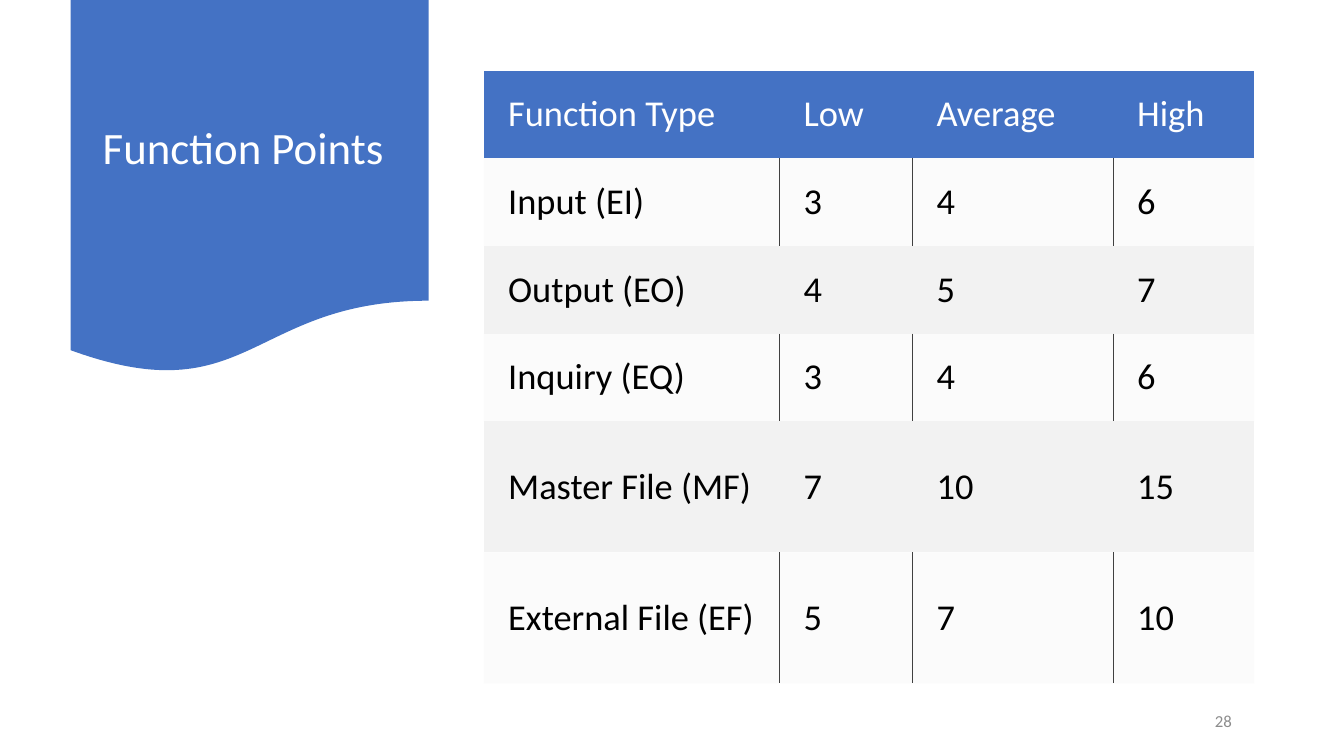
from dataclasses import dataclass

from lxml.etree import SubElement
from pptx import Presentation
from pptx.dml.color import RGBColor as Color
from pptx.enum.shapes import MSO_SHAPE as Preset
from pptx.enum.text import MSO_ANCHOR as Anchor, PP_ALIGN as Align
from pptx.oxml.ns import qn
from pptx.util import Emu, Pt

EMU_PER_PX = 9144


@dataclass(frozen=True)
class Theme:
    font: str = "Calibri"
    accent: str = "4472C4"
    band: str = "F2F2F2"
    rule: str = "404040"
    dark: str = "000000"
    light: str = "FFFFFF"
    muted: str = "8C8C8C"
    title_size: int = 32
    table_size: int = 26
    number_size: int = 12
    rule_width: float = 0.5
    pale_opacity: int = 30


THEME = Theme()
COLUMN_WIDTHS = (293, 132, 199, 140)
ROW_HEIGHTS = (87, 87, 87, 87, 130, 130)
ROWS = (
    ("Function Type", "Low", "Average", "High"),
    ("Input (EI)", "3", "4", "6"),
    ("Output (EO)", "4", "5", "7"),
    ("Inquiry (EQ)", "3", "4", "6"),
    ("Master File (MF)", "7", "10", "15"),
    ("External File (EF)", "5", "7", "10"),
)


def px(length):
    return Emu(length * EMU_PER_PX)


def write_text(frame, text, *, size, color, line_spacing=None):
    para = frame.paragraphs[0]
    para.alignment = Align.LEFT
    para.line_spacing = line_spacing
    span = para.add_run()
    span.text = text
    font = span.font
    font.name = THEME.font
    font.size = Pt(size)
    font.bold = False
    font.color.rgb = Color.from_string(color)


def add_text(page, text, left, top, width, height, **text_format):
    box = page.shapes.add_textbox(px(left), px(top), px(width), px(height))
    frame = box.text_frame
    frame.word_wrap = True
    frame.vertical_anchor = Anchor.MIDDLE
    write_text(frame, text, **text_format)


def add_banner(page, left, top, width, height):
    banner = page.shapes.add_shape(
        Preset.FLOWCHART_DOCUMENT, px(left), px(top), px(width), px(height)
    )
    banner.shadow.inherit = False
    banner.fill.solid()
    banner.fill.fore_color.rgb = Color.from_string(THEME.accent)
    banner.line.fill.background()


def set_borders(cell, ruled_sides):
    properties = cell._tc.get_or_add_tcPr()
    for side in "LRTB":
        line = SubElement(properties, qn(f"a:ln{side}"))
        if side in ruled_sides:
            line.set("w", str(Pt(THEME.rule_width)))
            fill = SubElement(line, qn("a:solidFill"))
            SubElement(fill, qn("a:srgbClr"), val=THEME.rule)
        else:
            line.set("w", "0")
            SubElement(line, qn("a:noFill"))


def fill_cell(cell, color, opacity=100):
    cell.fill.solid()
    cell.fill.fore_color.rgb = Color.from_string(color)
    if opacity < 100:
        shade = cell._tc.tcPr.find(qn("a:solidFill")).find(qn("a:srgbClr"))
        SubElement(shade, qn("a:alpha"), val=str(opacity * 1000))


def format_cell(cell, text, row, column):
    header = row == 0
    pale = row % 2 == 1
    cell.margin_left = px(24)
    cell.margin_right = cell.margin_top = cell.margin_bottom = px(18)
    cell.vertical_anchor = Anchor.MIDDLE
    ruled_sides = ""
    if pale and column > 0:
        ruled_sides += "L"
    if pale and column < len(COLUMN_WIDTHS) - 1:
        ruled_sides += "R"
    set_borders(cell, ruled_sides)
    fill_cell(
        cell,
        THEME.accent if header else THEME.band,
        THEME.pale_opacity if pale else 100,
    )
    write_text(
        cell.text_frame,
        text,
        size=THEME.table_size,
        color=THEME.light if header else THEME.dark,
    )


def add_points_table(page, left, top):
    table = page.shapes.add_table(
        len(ROWS), len(COLUMN_WIDTHS), px(left), px(top),
        px(sum(COLUMN_WIDTHS)), px(sum(ROW_HEIGHTS)),
    ).table
    for column, width in zip(table.columns, COLUMN_WIDTHS):
        column.width = px(width)
    for row, height in zip(table.rows, ROW_HEIGHTS):
        row.height = px(height)
    for row, texts in enumerate(ROWS):
        for column, text in enumerate(texts):
            format_cell(table.cell(row, column), text, row, column)


def main():
    deck = Presentation()
    deck.slide_width, deck.slide_height = px(1333), px(750)
    page = deck.slides.add_slide(deck.slide_layouts[6])
    add_banner(page, 70, 0, 355, 372)
    add_text(
        page, "Function Points", 92, 19, 311, 259,
        size=THEME.title_size, color=THEME.light, line_spacing=0.9,
    )
    add_text(
        page, "28", 1195, 695, 68, 40,
        size=THEME.number_size, color=THEME.muted,
    )
    add_points_table(page, 480, 70)
    deck.save("out.pptx")


if __name__ == "__main__":
    main()
